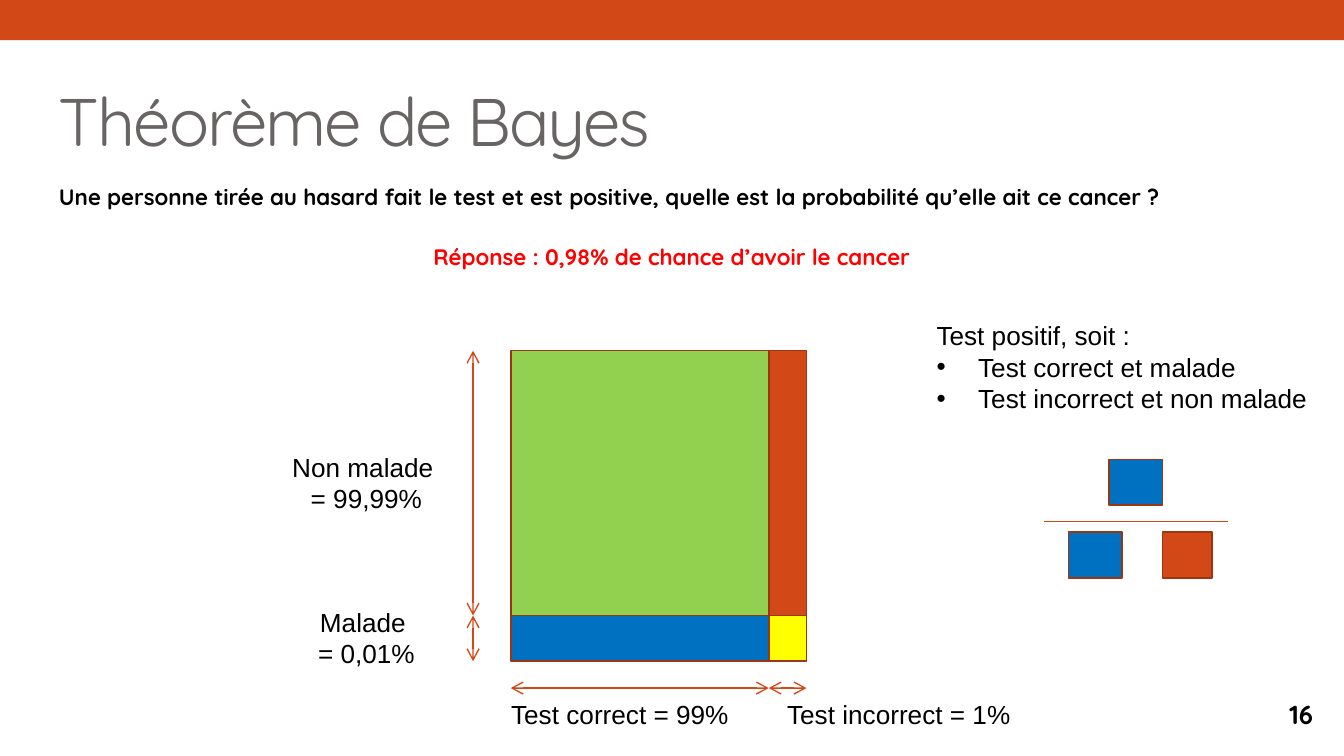
from lxml import etree
from pptx import Presentation
from pptx.dml.color import RGBColor
from pptx.enum.shapes import MSO_CONNECTOR, MSO_SHAPE
from pptx.enum.text import MSO_ANCHOR, MSO_AUTO_SIZE, PP_ALIGN
from pptx.oxml.ns import qn
from pptx.util import Inches, Pt

RECTANGLE = MSO_SHAPE.RECTANGLE
STRAIGHT = MSO_CONNECTOR.STRAIGHT
TOP, MIDDLE = MSO_ANCHOR.TOP, MSO_ANCHOR.MIDDLE
LEFT, CENTER, RIGHT = PP_ALIGN.LEFT, PP_ALIGN.CENTER, PP_ALIGN.RIGHT
GROW = MSO_AUTO_SIZE.SHAPE_TO_FIT_TEXT

COLORS = {
    "orange": "D34817", "outline": "9C3511", "title": "696464",
    "black": "000000", "red": "FF0000", "green": "92D050",
    "blue": "0070C0", "yellow": "FFFF00",
}
HEADING = {"name": "Quicksand", "size": Pt(36)}
STRONG = {"name": "Quicksand", "size": Pt(12), "bold": True}
NUMBER = {**STRONG, "size": Pt(14)}
LABEL = {"name": "Arial", "size": Pt(14)}
SPACED = {"space_before": Pt(12), "space_after": Pt(6)}

# A 16:9 page on a grid of square cells; boxes are (left, top, width, height)
COLUMNS, ROWS = 100, 56.25
deck = Presentation()
deck.slide_width = Inches(10)
deck.slide_height = deck.slide_width * 9 // 16
page = deck.slides.add_slide(deck.slide_layouts[6])


def across(columns):
    return round(deck.slide_width * columns / COLUMNS)


def down(rows):
    return round(deck.slide_height * rows / ROWS)


def place(box):
    left, top, width, height = box
    return across(left), down(top), across(width), down(height)


def rgb(color):
    return RGBColor.from_string(COLORS[color])


def set_all(target, values):
    for name, value in values.items():
        setattr(target, name, value)


def add_block(box, color, outlined=True):
    block = page.shapes.add_shape(RECTANGLE, *place(box))
    block.shadow.inherit = False
    block.fill.solid()
    block.fill.fore_color.rgb = rgb(color)
    if outlined:
        block.line.color.rgb = rgb("outline")
        block.line.width = Pt(0.85)
    else:
        block.line.fill.background()


def add_line(start, end, arrows=False):
    line = page.shapes.add_connector(
        STRAIGHT, across(start[0]), down(start[1]), across(end[0]), down(end[1]))
    line.line.color.rgb = rgb("orange")
    line.line.width = Pt(0.75)
    if arrows:
        stroke = line.line._get_or_add_ln()
        for tag in ("a:headEnd", "a:tailEnd"):
            etree.SubElement(stroke, qn(tag), type="arrow")
    etree.SubElement(line._element.spPr, qn("a:effectLst"))


def add_text(box, lines, font, fixed=False, anchor=TOP):
    """Write lines of (text, color, paragraph format); fixed boxes wrap."""
    frame = page.shapes.add_textbox(*place(box)).text_frame
    set_all(frame, {"word_wrap": fixed, "vertical_anchor": anchor})
    if fixed:
        set_all(frame, {"margin_top": Inches(0.1), "margin_bottom": Inches(0.1)})
    else:
        frame.auto_size = GROW
    for index, (text, color, layout) in enumerate(lines):
        para = frame.add_paragraph() if index else frame.paragraphs[0]
        set_all(para, layout)
        span = para.add_run()
        span.text = text
        set_all(span.font, font)
        span.font.color.rgb = rgb(color)
    return frame


def add_label(box, *texts):
    add_text(box, [(text, "black", {"alignment": CENTER}) for text in texts], LABEL)


def add_bullet(para):
    properties = para._p.get_or_add_pPr()
    properties.set("marL", str(Inches(0.31)))
    properties.set("indent", str(-Inches(0.31)))
    color = etree.SubElement(properties, qn("a:buClr"))
    etree.SubElement(color, qn("a:srgbClr"), val=COLORS["black"])
    etree.SubElement(properties, qn("a:buFont"), typeface="Arial")
    etree.SubElement(properties, qn("a:buChar"), char="•")


def add_header(box):
    # Band across the top, then the title
    add_block((0, 0, COLUMNS, 3), "orange", outlined=False)
    title = add_text(box, [("Théorème de Bayes", "title", {"alignment": LEFT})],
                     HEADING, fixed=True)
    title.paragraphs[0].runs[0].font._element.set("spc", "-100")


def add_question(box):
    add_text(box, [
        ("Une personne tirée au hasard fait le test et est positive, "
         "quelle est la probabilité qu’elle ait ce cancer ?",
         "black", {"alignment": LEFT, **SPACED}),
        ("Réponse : 0,98% de chance d’avoir le cancer",
         "red", {"alignment": CENTER, **SPACED}),
    ], STRONG, fixed=True)


def add_probability_square(box):
    left, top, width, height = box
    right, bottom = left + width, top + height
    split_x, split_y = right - 2.8, bottom - 3.4
    spans_x = [(left, split_x), (split_x, right)]
    spans_y = [(top, split_y), (split_y, bottom)]

    # Four outcomes
    fills = [("green", "orange"), ("blue", "yellow")]
    for (y1, y2), row_fills in zip(spans_y, fills):
        for (x1, x2), fill in zip(spans_x, row_fills):
            add_block((x1, y1, x2 - x1, y2 - y1), fill)

    # Dimension arrows on the left and below
    for y1, y2 in spans_y:
        add_line((left - 2.8, y2), (left - 2.8, y1), arrows=True)
    for x1, x2 in spans_x:
        add_line((x1, bottom + 2), (x2, bottom + 2), arrows=True)

    # Row and column labels
    add_label((left - 17.3, top + 7, 12.6, 5.7), "Non malade", " = 99,99%")
    add_label((left - 15.9, split_y - 1.2, 9.8, 5.7), "Malade", " = 0,01%")
    add_label((left - 1.1, bottom + 2.3, 19, 3.4), "Test correct = 99% ")
    add_label((split_x + 0.2, bottom + 2.3, 19.5, 3.4), "Test incorrect = 1% ")


def add_positive_cases(box):
    texts = ("Test positif, soit :", "Test correct et malade",
             "Test incorrect et non malade")
    frame = add_text(box, [(text, "black", {"alignment": LEFT}) for text in texts], LABEL)
    for para in frame.paragraphs[1:]:
        add_bullet(para)


def add_fraction(box):
    left, top, width, height = box
    side = 3.4
    bar = top + 4.6
    add_block((left + 4.8, top, 4, side), "blue")
    add_line((left, bar), (left + width, bar))
    add_block((left + 1.8, top + height - side, 4, side), "blue")
    add_block((left + 8.8, top + height - side, 3.7, side), "orange")


def add_page_number(box):
    add_text(box, [("16", "black", {"alignment": RIGHT})], NUMBER,
             fixed=True, anchor=MIDDLE)


add_header((3.4, 4.9, 93.2, 6.3))
add_question((3.4, 12.6, 93.2, 41.3))
add_page_number((92.7, 51, 6, 4.3))
add_probability_square((38, 26.1, 22, 23.1))
add_positive_cases((68.7, 23.3, 30, 8.1))
add_fraction((77.7, 34.2, 13.7, 8.8))
deck.save("out.pptx")
